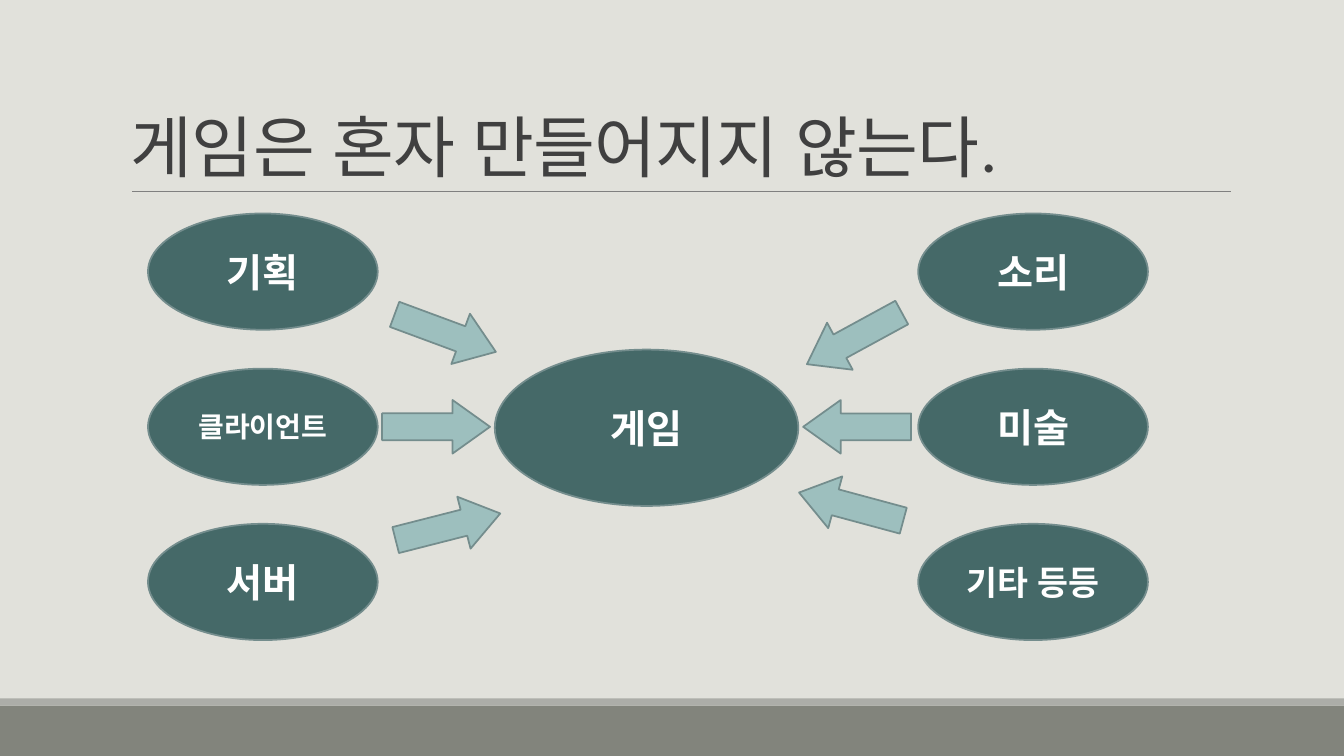
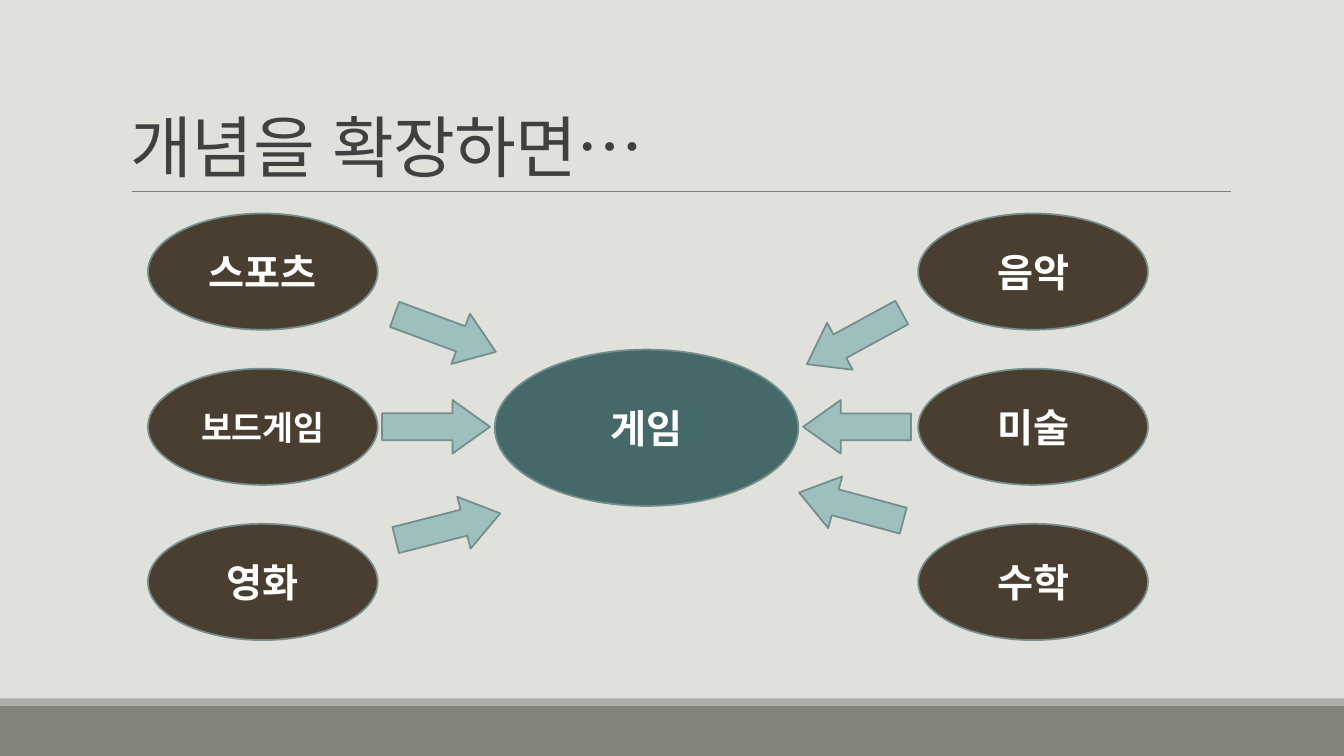
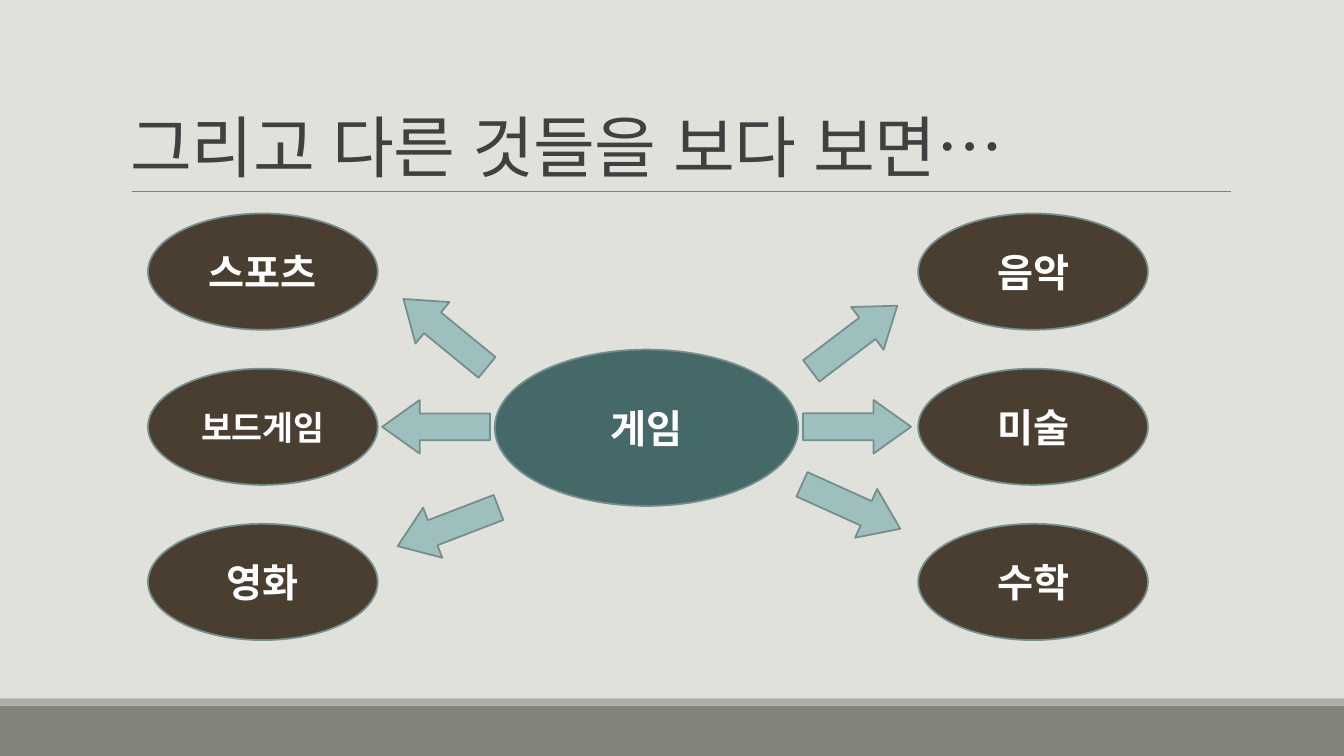
from dataclasses import dataclass

from lxml import etree
from pptx import Presentation
from pptx.dml.color import RGBColor
from pptx.enum import lang, shapes, text
from pptx.oxml import ns
from pptx.util import Cm, Pt

# Shared style
FONT = "Calibri"
PAPER = RGBColor(0xE1, 0xE1, 0xDB)
BAND = RGBColor(0x82, 0x84, 0x7C)
BAND_EDGE = RGBColor(0xAC, 0xAD, 0xA8)
RULE = RGBColor(0x80, 0x80, 0x80)
INK = RGBColor(0x40, 0x40, 0x40)
WHITE = RGBColor(0xFF, 0xFF, 0xFF)
TEAL = RGBColor(0x45, 0x69, 0x68)
BROWN = RGBColor(0x49, 0x3E, 0x30)
ARROW = RGBColor(0x9D, 0xBF, 0xBE)
OUTLINE = RGBColor(0x74, 0x8D, 0x8D)

# Layout in centimetres
SLIDE_W, SLIDE_H = 33.87, 19.05
NODE_W, NODE_H = 5.79, 2.93
NODE_LEFTS = (3.73, 23.14)
NODE_TOP, NODE_PITCH = 5.38, 3.91
HUB = (12.47, 8.81, 7.65, 3.94)
ARROW_W, ARROW_H = 2.72, 1.35
# Left column from top to bottom, then right column
ARROW_SPOTS = ((9.86, 7.72), (9.63, 10.08), (9.93, 12.6),
               (20.17, 7.85), (20.24, 10.08), (20.09, 12.09))


@dataclass(frozen=True)
class Node:
    label: str
    size: int = 28


@dataclass(frozen=True)
class Diagram:
    title: str
    nodes: tuple[Node, ...]
    node_color: RGBColor
    angles: tuple[float, ...]


INWARD = (20.3, 0, 345.7, 151.4, 180, 195.1)
OUTWARD = (219.3, 180, 159, 322.8, 0, 24.3)

ROLES = (Node("기획"), Node("클라이언트", 20), Node("서버"),
         Node("소리"), Node("미술"), Node("기타 등등", 24))
FIELDS = (Node("스포츠"), Node("보드게임", 24), Node("영화"),
          Node("음악"), Node("미술"), Node("수학"))

DIAGRAMS = (
    Diagram("게임은 혼자 만들어지지 않는다.", ROLES, TEAL, INWARD),
    Diagram("개념을 확장하면…", FIELDS, BROWN, INWARD),
    Diagram("그리고 다른 것들을 보다 보면…", FIELDS, BROWN, OUTWARD),
)


def style_run(r, size: float, color: RGBColor, bold: bool = False) -> None:
    r.font.name = FONT
    r.font.size = Pt(size)
    r.font.bold = bold
    r.font.color.rgb = color
    r.font.language_id = lang.MSO_LANGUAGE_ID.KOREAN


def add_shape(slide, kind, box: tuple[float, ...], fill: RGBColor,
              outlined: bool = True):
    sp = slide.shapes.add_shape(kind, *map(Cm, box))
    sp.shadow.inherit = False
    sp.fill.solid()
    sp.fill.fore_color.rgb = fill
    if outlined:
        sp.line.color.rgb = OUTLINE
        sp.line.width = Pt(1.25)
    else:
        sp.line.fill.background()
    return sp


def add_frame(slide, title: str) -> None:
    """Draw the footer bands, the rule and the title."""
    rect = shapes.MSO_SHAPE.RECTANGLE
    add_shape(slide, rect, (0, 17.78, SLIDE_W, 1.27), BAND, outlined=False)
    add_shape(slide, rect, (0, 17.6, SLIDE_W, 0.18), BAND_EDGE, outlined=False)

    rule = slide.shapes.add_connector(
        shapes.MSO_CONNECTOR.STRAIGHT, Cm(3.33), Cm(4.82), Cm(31.01), Cm(4.82))
    rule.line.color.rgb = RULE
    rule.line.width = Pt(0.5)
    sp_pr = rule._element.find(ns.qn("p:spPr"))
    etree.SubElement(sp_pr, ns.qn("a:effectLst"))

    tf = slide.shapes.add_textbox(Cm(3.05), Cm(0.79), Cm(27.94), Cm(4.04)).text_frame
    tf.word_wrap = True
    tf.vertical_anchor = text.MSO_ANCHOR.BOTTOM
    tf.text = title
    p = tf.paragraphs[0]
    p.line_spacing = 0.85
    r = p.runs[0]
    style_run(r, 48, INK)
    r.font._element.set("spc", "-50")


def add_node(slide, node: Node, box: tuple[float, ...], fill: RGBColor) -> None:
    sp = add_shape(slide, shapes.MSO_SHAPE.OVAL, box, fill)
    tf = sp.text_frame
    tf.vertical_anchor = text.MSO_ANCHOR.MIDDLE
    tf.text = node.label
    p = tf.paragraphs[0]
    p.alignment = text.PP_ALIGN.CENTER
    style_run(p.runs[0], node.size, WHITE, bold=True)


def add_arrow(slide, spot: tuple[float, float], angle: float) -> None:
    sp = add_shape(slide, shapes.MSO_SHAPE.RIGHT_ARROW,
                   (*spot, ARROW_W, ARROW_H), ARROW)
    sp.adjustments[0] = 0.5
    sp.adjustments[1] = 0.7
    sp.rotation = angle


def add_diagram(prs, diagram: Diagram) -> None:
    slide = prs.slides.add_slide(prs.slide_layouts[6])
    add_frame(slide, diagram.title)

    # Hub and its two columns of nodes
    add_node(slide, Node("게임"), HUB, TEAL)
    for i, node in enumerate(diagram.nodes):
        column, row = divmod(i, 3)
        box = (NODE_LEFTS[column], NODE_TOP + row * NODE_PITCH, NODE_W, NODE_H)
        add_node(slide, node, box, diagram.node_color)

    # Arrows between hub and nodes
    for spot, angle in zip(ARROW_SPOTS, diagram.angles):
        add_arrow(slide, spot, angle)


def main() -> None:
    prs = Presentation()
    prs.slide_width, prs.slide_height = Cm(SLIDE_W), Cm(SLIDE_H)
    background = prs.slide_master.background.fill
    background.solid()
    background.fore_color.rgb = PAPER
    for diagram in DIAGRAMS:
        add_diagram(prs, diagram)
    prs.save("out.pptx")


if __name__ == "__main__":
    main()
